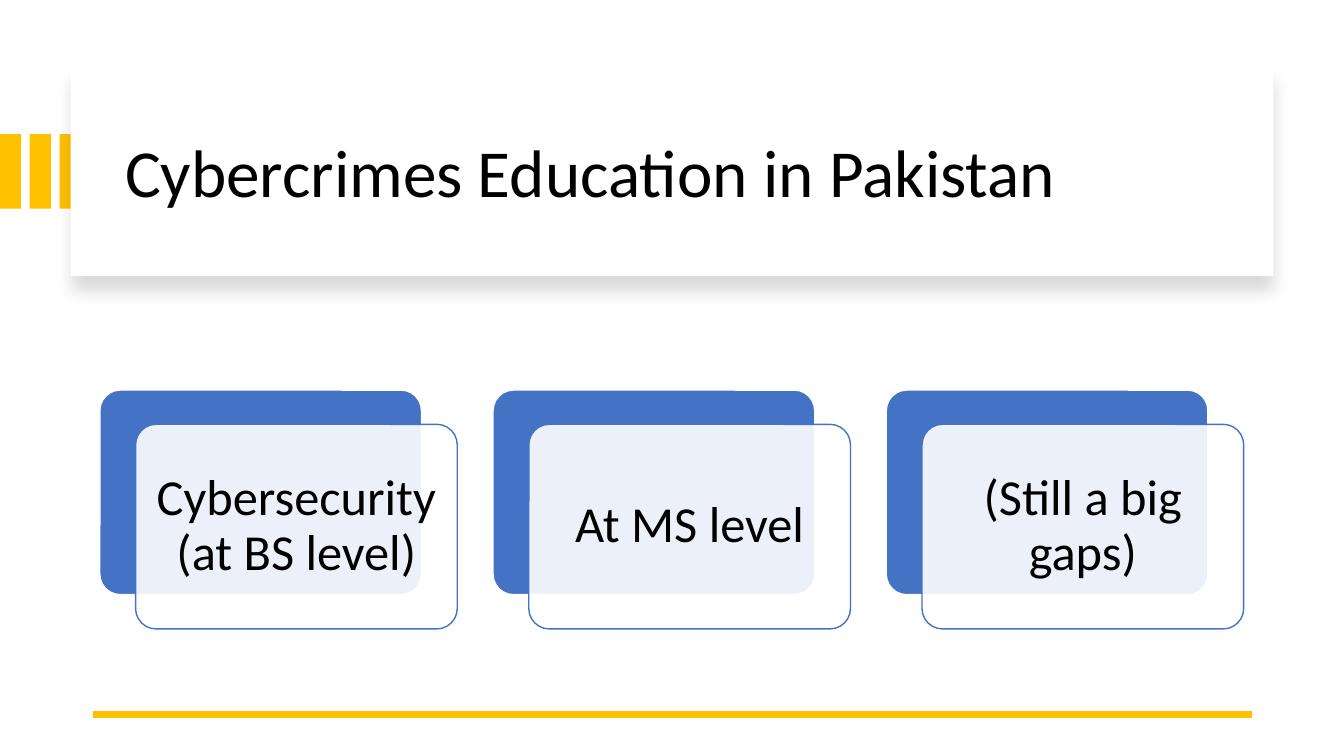
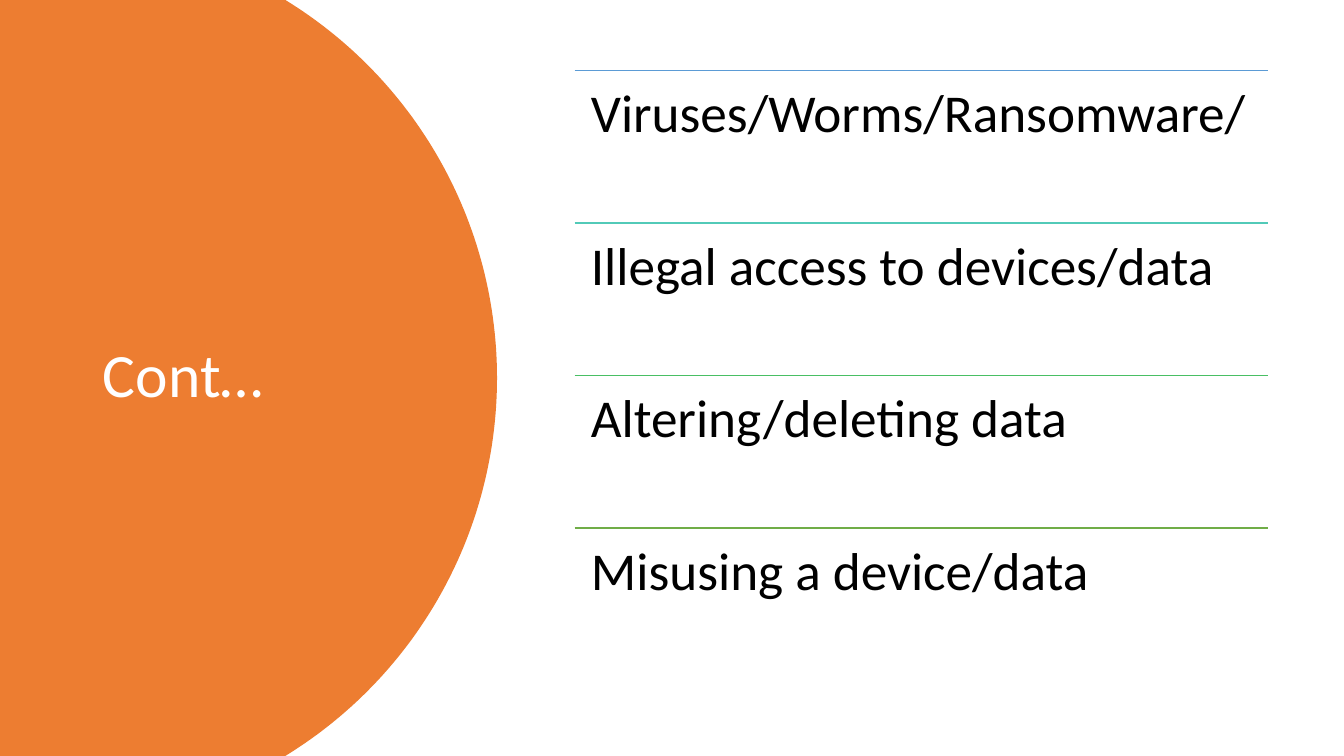
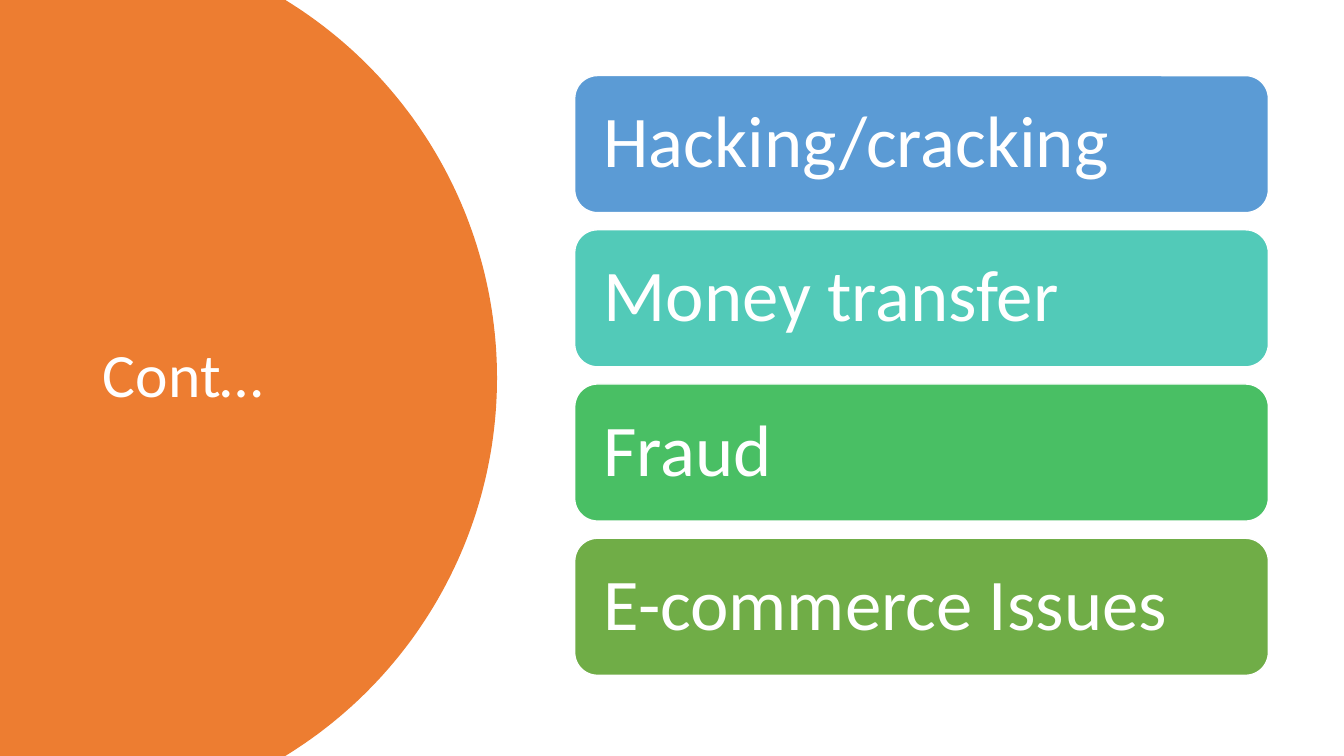
"""Build three slides on cybercrime with a shared title style and palette."""
import math
from lxml import etree
from pptx import Presentation
from pptx.dml import color as dml
from pptx.enum import shapes as kinds, text as txt
from pptx.oxml import ns
from pptx.util import Inches, Pt

FONT = "Calibri"
BLACK, WHITE, BLUE, GOLD, ORANGE = "000000", "FFFFFF", "4472C4", "FFC000", "ED7D31"
HUES = ["5B9BD5", "52CAB8", "49BF64", "70AD47"]
LIST = (5.7, 0.7, 6.88)
RECT = kinds.MSO_SHAPE.RECTANGLE
ROUND = kinds.MSO_SHAPE.ROUNDED_RECTANGLE
LEFT, MID = txt.PP_ALIGN.LEFT, txt.PP_ALIGN.CENTER


def rgb(code):
    """Turn a hex string into a colour."""
    return dml.RGBColor.from_string(code)


def node(parent, tag, **attrs):
    """Append a drawing element and return it."""
    return etree.SubElement(parent, ns.qn("a:" + tag), {k: str(v) for k, v in attrs.items()})


def write(shape, words, size=36, color=BLACK, align=LEFT, top=False, inset=None):
    """Put formatted text in a shape."""
    frame = shape.text_frame
    frame.word_wrap = True
    frame.auto_size = txt.MSO_AUTO_SIZE.NONE
    frame.vertical_anchor = txt.MSO_ANCHOR.TOP if top else txt.MSO_ANCHOR.MIDDLE
    if inset is not None:
        frame.margin_left = frame.margin_right = Inches(inset)
        frame.margin_top = frame.margin_bottom = Inches(inset)
    para = frame.paragraphs[0]
    para.alignment, para.line_spacing = align, 0.9
    run = para.add_run()
    run.text = words
    run.font.name, run.font.size = FONT, Pt(size)
    run.font.color.rgb = rgb(color)


def paint(shape, fill, line=None):
    """Set flat fill and outline."""
    shape.shadow.inherit = False
    shape.fill.solid()
    shape.fill.fore_color.rgb = rgb(fill)
    if line:
        shape.line.color.rgb = rgb(line)
        shape.line.width = Pt(1)
    else:
        shape.line.fill.background()


def block(slide, kind, box, fill, line=None, adj=None):
    """Add a painted preset shape."""
    shape = slide.shapes.add_shape(kind, *map(Inches, box))
    paint(shape, fill, line)
    if adj is not None:
        shape.adjustments[0] = adj
    return shape


def rule(slide, x, y, wide, color, weight=1):
    """Draw a horizontal line."""
    line = slide.shapes.add_connector(
        kinds.MSO_CONNECTOR.STRAIGHT, Inches(x), Inches(y), Inches(x + wide), Inches(y))
    line.line.color.rgb = rgb(color)
    line.line.width = Pt(weight)
    node(line.element.spPr, "effectLst")


def head(slide, words, box, size, color):
    """Place the title above the shapes drawn so far."""
    title = slide.shapes.title
    title.left, title.top, title.width, title.height = map(Inches, box)
    title.element.getparent().append(title.element)
    write(title, words, size, color)


def banner(slide, words, box):
    """Draw the gold stripes and the raised title panel."""
    x, y, wide, high = box
    for i in range(3):
        block(slide, RECT, (i * 0.295, y + 0.66, 0.21, 0.74), GOLD)
    panel = block(slide, RECT, box, WHITE)
    glow = node(panel.element.spPr.find(ns.qn("a:effectLst")), "outerShdw",
                blurRad=Pt(11), dist=Pt(10), dir=5400000, algn="t", rotWithShape=0)
    node(node(glow, "srgbClr", val=BLACK), "alpha", val=15000)
    head(slide, words, (x + 0.44, y + 0.22, wide - 0.8, 1.7), 48, BLACK)


def cards(slide, items, x, y, step):
    """Draw a row of offset double cards."""
    wide, high = 3.19, 2.03
    for i, words in enumerate(items):
        left = x + i * step
        block(slide, ROUND, (left, y, wide, high), BLUE, WHITE, 0.1)
        card = block(slide, ROUND, (left + 0.355, y + 0.34, wide, high), WHITE, BLUE, 0.1)
        tint = card.element.spPr.find(ns.qn("a:solidFill"))
        node(tint[0], "alpha", val=90000)
        write(card, words, align=MID, inset=0.12)


def dome(slide, words, edge=2.83, tip=4.93, high=7.5):
    """Draw the round left panel with its title."""
    half, sag = high / 2, tip - edge
    rad = (half ** 2 + sag ** 2) / (2 * sag)
    span, count = math.asin(half / rad), 120
    turns = [span * (2 * i / count - 1) for i in range(count + 1)]
    arc = [(tip - rad + rad * math.cos(t), half + rad * math.sin(t)) for t in turns]
    path = slide.shapes.build_freeform(0, 0)
    path.add_line_segments([(Inches(x), Inches(y)) for x, y in arc + [(0, high)]], close=True)
    paint(path.convert_to_shape(), ORANGE)
    head(slide, words, (0.92, 0.7, 3.23, 6.09), 44, WHITE)


def lines(slide, items, x, y, wide, step=1.513):
    """Stack texts under coloured rules."""
    for i, (words, hue) in enumerate(zip(items, HUES)):
        top = y + i * step
        rule(slide, x, top, wide, hue)
        area = slide.shapes.add_textbox(*map(Inches, (x, top, wide, step)))
        write(area, words, 38, top=True, inset=0.16)


def bars(slide, items, x, y, wide, step=1.53):
    """Stack texts in coloured bars."""
    for i, (words, hue) in enumerate(zip(items, HUES)):
        bar = block(slide, ROUND, (x, y + 0.05 + i * step, wide, 1.36), hue, WHITE)
        write(bar, words, 52, WHITE, inset=0.22)


def main():
    """Build and save the slides."""
    deck = Presentation()
    deck.slide_width, deck.slide_height = Inches(13.33), Inches(7.5)
    first, second, third = [deck.slides.add_slide(deck.slide_layouts[5]) for _ in range(3)]

    banner(first, "Cybercrimes Education in Pakistan", (0.7, 0.67, 11.93, 2.07))
    rule(first, 0.92, 7.09, 11.5, GOLD, 4.5)
    cards(first, ["Cybersecurity (at BS level)", "At MS level", "(Still a big gaps)"],
          0.99, 3.87, 3.9)

    dome(second, "Cont…")
    lines(second, ["Viruses/Worms/Ransomware/", "Illegal access to devices/data",
                   "Altering/deleting data", "Misusing a device/data"], *LIST)

    dome(third, "Cont…")
    bars(third, ["Hacking/cracking", "Money transfer", "Fraud", "E-commerce Issues"], *LIST)
    deck.save("out.pptx")


if __name__ == "__main__":
    main()
